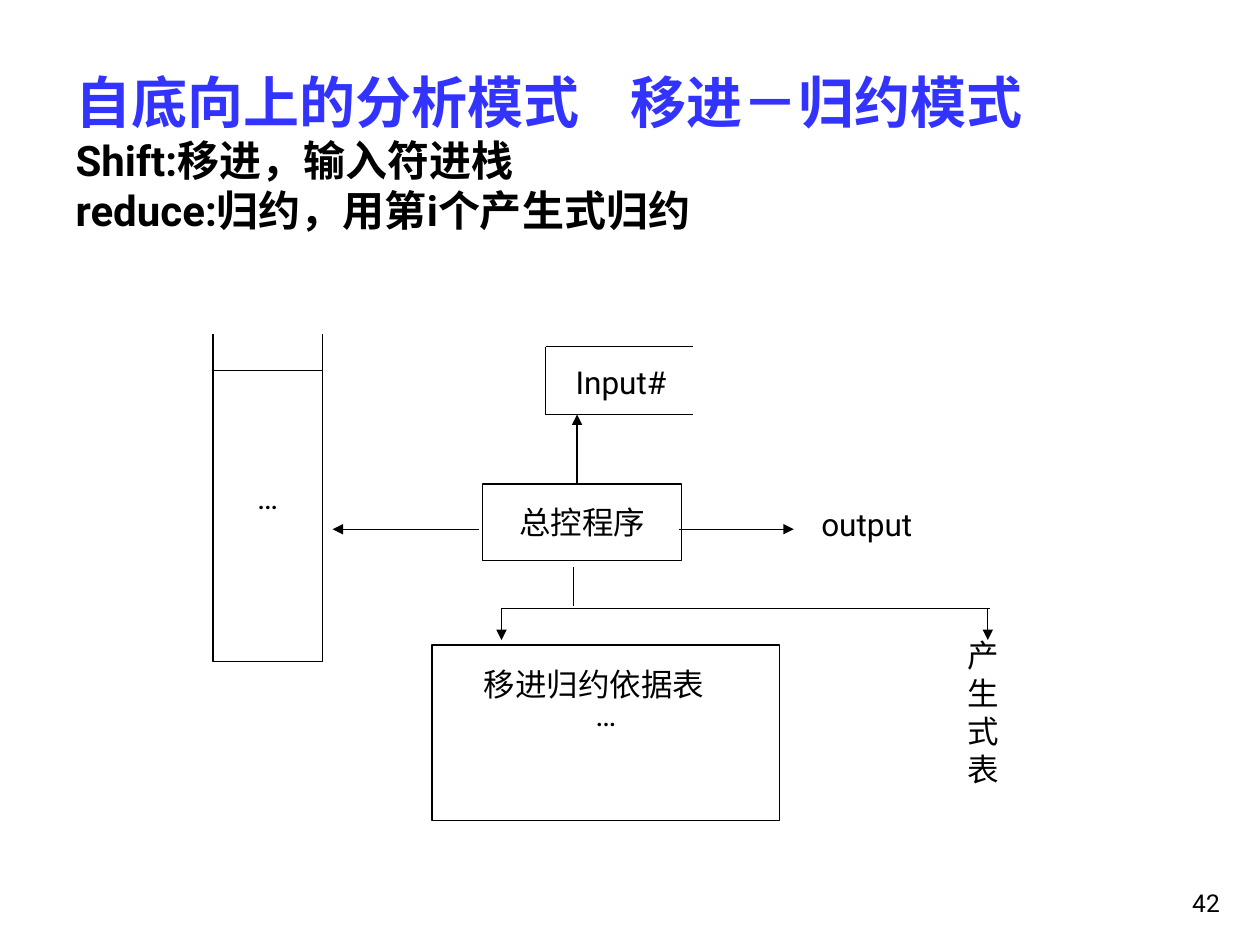
"""Build the shift-reduce parsing model slide."""
from dataclasses import dataclass

from lxml.etree import SubElement
from pptx import Presentation
from pptx.dml.color import RGBColor
from pptx.enum.shapes import MSO_CONNECTOR, MSO_SHAPE
from pptx.enum.text import MSO_ANCHOR, MSO_AUTO_SIZE, PP_ALIGN
from pptx.oxml.ns import qn
from pptx.slide import Slide
from pptx.text.text import _Paragraph
from pptx.util import Inches, Pt

COLORS = {"heading": "3333FF", "ink": "000000", "paper": "FFFFFF"}
FONT = "Roboto"


@dataclass(frozen=True)
class Block:
    text: str
    left: float
    top: float
    width: float
    height: float
    bottom_inset: float = 0.05


@dataclass(frozen=True)
class Label:
    text: str
    left: float
    top: float
    width: float
    height: float
    size: int = 18
    align: PP_ALIGN = PP_ALIGN.LEFT
    anchor: MSO_ANCHOR = MSO_ANCHOR.TOP
    grows: bool = True


@dataclass(frozen=True)
class Line:
    x1: float
    y1: float
    x2: float
    y2: float
    arrow: bool = False


BLOCKS = [
    Block("总控程序", 3.83, 3.84, 1.58, 0.61),
    Block("…", 1.69, 2.94, 0.87, 2.31, 0.35),
    Block("…", 3.43, 5.12, 2.76, 1.39, 0.35),
]
STACK_WALLS = [Line(x, 2.65, x, 3.2) for x in (1.69, 2.56)]
INPUT_TAPE = [Line(4.33, y, 5.5, y) for y in (2.75, 3.29)] + [Line(4.33, 2.75, 4.33, 3.29)]
TABLE_BRANCHES = [Line(x, 4.83, x, 5.08, True) for x in (3.98, 7.84)] + [
    Line(3.98, 4.83, 7.86, 4.83),
    Line(4.55, 4.5, 4.55, 4.81),
]
CONTROL_ARROWS = [
    Line(4.58, 3.84, 4.58, 3.29, True),
    Line(5.39, 4.2, 6.3, 4.2, True),
    Line(3.8, 4.2, 2.64, 4.2, True),
]
LABELS = [
    Label("output", 6.42, 3.96, 1.17, 0.37),
    Label("产生式表", 7.58, 5, 0.67, 1.24),
    Label("Input#", 4.47, 2.83, 1.83, 0.4),
    Label("移进归约依据表", 3.74, 5.23, 2.12, 0.3),
    Label("42", 7.7, 6.83, 2.08, 0.5, 14, PP_ALIGN.RIGHT, MSO_ANCHOR.BOTTOM, False),
]


def color(name: str) -> RGBColor:
    return RGBColor.from_string(COLORS[name])


def style_paragraph(para: _Paragraph, size: int, align: PP_ALIGN,
                    ink: str = "ink", bold: bool = False) -> None:
    para.alignment = align
    para.font.name = FONT
    para.font.size = Pt(size)
    para.font.bold = bold
    para.font.color.rgb = color(ink)


def fill_title(page: Slide) -> None:
    title = page.shapes.title
    title.left, title.top = Inches(0.5), Inches(0.36)
    title.width, title.height = Inches(9.5), Inches(1.68)
    frame = title.text_frame
    frame.auto_size = MSO_AUTO_SIZE.NONE
    frame.vertical_anchor = MSO_ANCHOR.MIDDLE
    frame.text = "自底向上的分析模式\t移进－归约模式\nShift:移进，输入符进栈\nreduce:归约，用第i个产生式归约"
    heading, *details = frame.paragraphs
    tabs = SubElement(heading._p.get_or_add_pPr(), qn("a:tabLst"))
    SubElement(tabs, qn("a:tab"), pos=str(Inches(4.4)), algn="l")
    style_paragraph(heading, 32, PP_ALIGN.LEFT, "heading", True)
    for para in details:
        style_paragraph(para, 24, PP_ALIGN.LEFT, bold=True)


def draw_block(page: Slide, block: Block) -> None:
    box = page.shapes.add_shape(MSO_SHAPE.RECTANGLE, Inches(block.left), Inches(block.top),
                                Inches(block.width), Inches(block.height))
    box.shadow.inherit = False
    box.fill.solid()
    box.fill.fore_color.rgb = color("paper")
    box.line.color.rgb = color("ink")
    box.line.width = Pt(0.75)
    frame = box.text_frame
    frame.text = block.text
    frame.word_wrap = False
    frame.vertical_anchor = MSO_ANCHOR.MIDDLE
    frame.margin_bottom = Inches(block.bottom_inset)
    style_paragraph(frame.paragraphs[0], 18, PP_ALIGN.CENTER)


def draw_line(page: Slide, line: Line) -> None:
    connector = page.shapes.add_connector(MSO_CONNECTOR.STRAIGHT, Inches(line.x1), Inches(line.y1),
                                          Inches(line.x2), Inches(line.y2))
    connector.line.color.rgb = color("ink")
    connector.line.width = Pt(0.75)
    if line.arrow:
        SubElement(connector.line._get_or_add_ln(), qn("a:tailEnd"), type="triangle")
    SubElement(connector._element.spPr, qn("a:effectLst"))


def draw_label(page: Slide, label: Label) -> None:
    box = page.shapes.add_textbox(Inches(label.left), Inches(label.top),
                                  Inches(label.width), Inches(label.height))
    frame = box.text_frame
    frame.text = label.text
    frame.word_wrap = True
    frame.auto_size = MSO_AUTO_SIZE.SHAPE_TO_FIT_TEXT if label.grows else MSO_AUTO_SIZE.NONE
    frame.vertical_anchor = label.anchor
    style_paragraph(frame.paragraphs[0], label.size, label.align)


def main() -> None:
    deck = Presentation()
    deck.slide_width, deck.slide_height = Inches(10), Inches(7.5)
    page = deck.slides.add_slide(deck.slide_layouts[5])
    fill_title(page)
    for block in BLOCKS:
        draw_block(page, block)
    for line in STACK_WALLS + INPUT_TAPE + TABLE_BRANCHES + CONTROL_ARROWS:
        draw_line(page, line)
    for label in LABELS:
        draw_label(page, label)
    deck.save("out.pptx")


if __name__ == "__main__":
    main()
